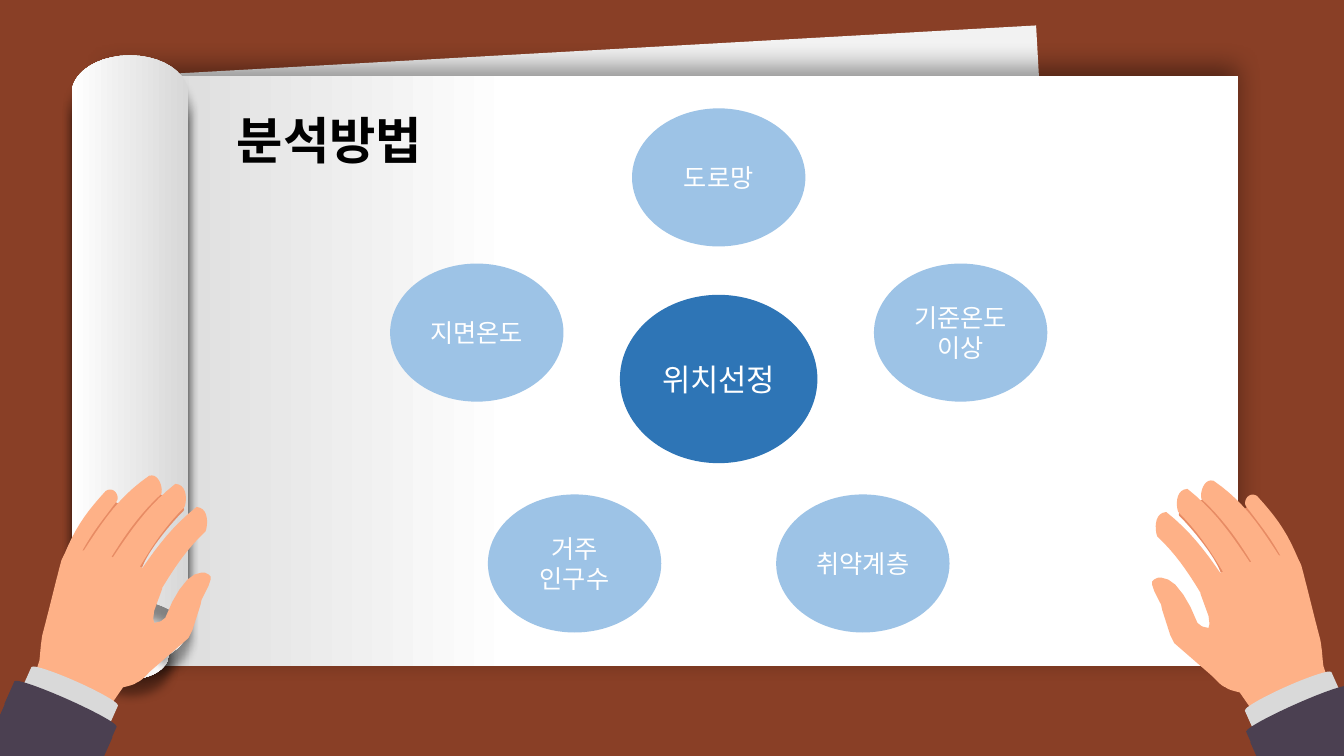
from dataclasses import dataclass

from lxml.etree import SubElement
from pptx import Presentation
from pptx.dml.color import RGBColor
from pptx.enum.shapes import MSO_SHAPE as Preset
from pptx.enum.text import MSO_ANCHOR as Anchor, MSO_AUTO_SIZE as AutoSize, PP_ALIGN as Align
from pptx.oxml.ns import qn
from pptx.util import Inches, Pt

COLUMNS, ROWS = 40 / 3, 7.5
CURVE_STEPS = 10

# Outlines in grid units: M and L take one point, C takes cubic curve points.
CREASES = """M 12.77 5.51 C 12.72 5.42 12.53 5.13 12.45 5.06 C 12.37 4.98 12.36 5.07 12.3 5.06
 L 12.07 5.01 L 11.95 4.94 L 11.87 4.99 C 11.83 5.02 11.66 5.07 11.7 5.12
 C 11.75 5.16 12.11 5.56 12.13 5.75 C 12.15 5.93 12.36 5.78 12.46 5.77 L 12.71 5.7 L 12.76 5.58"""
FINGERS = [
    """M 11.78 4.85 C 12.07 5.08 12.24 5.34 12.42 5.61 L 12.18 5.75
 C 12.04 5.52 11.92 5.31 11.69 5.08 C 11.67 5.04 11.65 4.86 11.78 4.85""",
    """M 12.04 4.77 C 12.33 4.97 12.48 5.19 12.7 5.53 L 12.46 5.65
 C 12.32 5.42 12.16 5.17 11.92 4.95 C 11.9 4.9 11.94 4.74 12.04 4.77""",
    """M 11.57 5.08 C 11.86 5.31 12.03 5.57 12.21 5.84 L 11.97 5.98
 C 11.83 5.75 11.71 5.54 11.48 5.32 C 11.46 5.27 11.44 5.09 11.57 5.08""",
    """M 12.47 4.92 C 12.7 5.17 12.79 5.32 12.91 5.62 L 12.74 5.58
 C 12.61 5.34 12.55 5.27 12.36 5.02 C 12.33 4.97 12.39 4.87 12.47 4.92""",
]
THUMB = """M 12.03 6.71 L 11.73 6.45 L 11.65 6.38 L 11.61 6.3 L 11.53 6.05 L 11.52 6 L 11.45 5.86
 L 11.43 5.8 L 11.43 5.77 L 11.45 5.75 L 11.49 5.73 L 11.52 5.73 L 11.59 5.75 L 11.66 5.8
 L 11.74 5.9 L 11.81 6.02 L 11.88 6.18 L 12.1 6.35"""
PALM = """M 12.03 6.71 C 12.07 6.75 12.11 6.8 12.16 6.82 C 12.2 6.85 12.27 6.86 12.3 6.87
 L 12.39 7 L 12.43 7.07 C 12.46 7.08 12.53 7.08 12.59 7.06 L 12.79 6.98 L 13 6.87 L 13.15 6.76
 L 13.15 6.67 L 13.13 6.61 C 13.12 6.55 13.12 6.47 13.1 6.35 C 13.07 6.24 13.02 6.04 12.99 5.92
 C 12.96 5.8 12.93 5.68 12.91 5.61 C 12.88 5.54 12.86 5.52 12.83 5.51 L 12.7 5.51
 L 12.54 5.51 L 12.4 5.58 L 12.24 5.63 L 12.11 5.68 L 12.05 5.73 L 11.93 5.85 L 11.91 5.89
 L 11.99 6.11 L 12 6.19 L 11.99 6.23 L 11.9 6.21 L 11.86 6.21 L 11.81 6.27 L 11.89 6.44
 L 11.92 6.54 C 11.94 6.58 11.99 6.66 12.03 6.71"""
ROLL = """M 0 0 C 0.32 0 0.58 0.17 0.58 0.38 L 0.58 5.7 L 0.55 5.64
 C 0.46 5.5 0.24 5.4 0 5.4 C -0.24 5.4 -0.46 5.5 -0.55 5.64 L -0.58 5.7 L -0.58 0.38
 C -0.58 0.17 -0.32 0 0 0"""


@dataclass(frozen=True)
class Theme:
    font: str = "Noto Sans CJK KR"
    desk: str = "893F26"
    sheet: str = "F2F2F2"
    paper: str = "FFFFFF"
    shade: str = "D7D7D7"
    skin: str = "FEB187"
    crease: str = "E78B64"
    cuff: str = "D9D9D9"
    sleeve: str = "4B4051"
    hub: str = "2E75B6"
    factor: str = "9DC3E6"
    ink: str = "000000"
    light: str = "FFFFFF"
    title_size: int = 36
    hub_size: int = 22
    factor_size: int = 18


def trace(outline):
    """Turn an outline into points, sampling its curves."""
    points = []
    for command in outline.replace("M", "|").replace("L", "|").replace("C", "|").split("|")[1:]:
        numbers = [float(number) for number in command.split()]
        pairs = list(zip(numbers[::2], numbers[1::2]))
        if len(pairs) == 1:
            points += pairs
            continue
        controls = [points[-1], *pairs]
        for step in range(1, CURVE_STEPS + 1):
            t = step / CURVE_STEPS
            weights = ((1 - t) ** 3, 3 * t * (1 - t) ** 2, 3 * t * t * (1 - t), t ** 3)
            points.append(tuple(sum(w * c[axis] for w, c in zip(weights, controls))
                                for axis in (0, 1)))
    return points


class SlideBuilder:
    def __init__(self, presentation, theme):
        self.theme = theme
        self.column = presentation.slide_width / COLUMNS
        self.row = presentation.slide_height / ROWS
        self.slide = presentation.slides.add_slide(presentation.slide_layouts[5])
        fill = self.slide.background.fill
        fill.solid()
        fill.fore_color.rgb = RGBColor.from_string(theme.desk)

    def place(self, x, y):
        return round(x * self.column), round(y * self.row)

    def paint(self, shape, color):
        shape.fill.solid()
        shape.fill.fore_color.rgb = RGBColor.from_string(color)
        shape.line.fill.background()
        shape.shadow.inherit = False

    def shade(self, shape, angle, stops):
        shape.fill.gradient()
        shape.fill.gradient_angle = angle
        for stop, (position, color) in zip(shape.fill.gradient_stops, stops):
            stop.position = position
            stop.color.rgb = RGBColor.from_string(color)

    def cast_shadow(self, shape, blur, distance, direction):
        effects = shape.element.spPr.find(qn("a:effectLst"))
        shadow = SubElement(effects, qn("a:outerShdw"), blurRad=str(Pt(blur)),
                            dist=str(Pt(distance)), dir=str(direction * 60000),
                            algn="ctr", rotWithShape="0")
        color = SubElement(shadow, qn("a:srgbClr"), val=self.theme.ink)
        SubElement(color, qn("a:alpha"), val="40000")

    def preset(self, kind, left, top, width, height, color, rotation=0):
        shape = self.slide.shapes.add_shape(
            kind, *self.place(left, top), *self.place(width, height))
        shape.rotation = rotation % 360
        self.paint(shape, color)
        return shape

    def outline(self, outline, color, origin=(0, 0), scale=(1, 1)):
        start, *rest = [self.place(origin[0] + scale[0] * x, origin[1] + scale[1] * y)
                        for x, y in trace(outline)]
        builder = self.slide.shapes.build_freeform(*start)
        builder.add_line_segments(rest, close=True)
        shape = builder.convert_to_shape()
        self.paint(shape, color)
        return shape

    def set_text(self, shape, text, size, color, align, anchor, bold=False):
        frame = shape.text_frame
        frame.text = text
        frame.word_wrap = True
        frame.vertical_anchor = anchor
        style = {"name": self.theme.font, "size": Pt(size), "bold": bold}
        for paragraph in frame.paragraphs:
            paragraph.alignment = align
            for run in paragraph.runs:
                for name, value in style.items():
                    setattr(run.font, name, value)
                run.font.color.rgb = RGBColor.from_string(color)
                SubElement(run._r.get_or_add_rPr(), qn("a:ea"), typeface=self.theme.font)

    def title(self, text, left, top, width, height):
        title = self.slide.shapes.title
        title.left, title.top = self.place(left, top)
        title.width, title.height = self.place(width, height)
        self.set_text(title, text, self.theme.title_size, self.theme.ink,
                      Align.LEFT, Anchor.TOP, True)
        title.text_frame.auto_size = AutoSize.SHAPE_TO_FIT_TEXT
        title.element.getparent().append(title.element)  # in front of the paper

    def bubble(self, text, center, size, color, text_size):
        left, top = (c - s / 2 for c, s in zip(center, size))
        shape = self.preset(Preset.OVAL, left, top, *size, color)
        self.set_text(shape, text, text_size, self.theme.light, Align.CENTER, Anchor.MIDDLE)

    def paper(self):
        self.preset(Preset.RECTANGLE, 1.43, 0.5, 9.02, 5.86, self.theme.sheet, -3.2)
        paper = self.preset(Preset.RECTANGLE, 1.07, 0.75, 11.21, 5.86, self.theme.paper)
        self.shade(paper, 180, [(0.64, self.theme.paper), (1, self.theme.shade)])
        self.cast_shadow(paper, 18, 6, 270)

    def roll(self, end, scale, direction):
        """Draw half a paper roll from its closed end, down (1) or up (-1)."""
        shape = self.outline(ROLL, self.theme.paper, (1.29, end), (scale, scale * direction))
        self.shade(shape, 180 if direction > 0 else 0,
                   [(0, self.theme.shade), (1, self.theme.paper)])
        self.cast_shadow(shape, 7, 11, 90)

    def hand(self, mirrored=False):
        """Draw the right hand, or its mirror image on the left."""
        theme = self.theme
        origin, scale = ((13.52, -0.05), (-1, 1)) if mirrored else ((0, 0), (1, 1))
        self.outline(CREASES, theme.crease, origin, scale)
        for part in (*FINGERS, THUMB, PALM):
            self.outline(part, theme.skin, origin, scale)
        for kind, left, top, width, height, color, rotation in (
                (Preset.FLOWCHART_STORED_DATA, 12.67, 6.48, 0.3, 0.94, theme.cuff, 66),
                (Preset.FLOWCHART_STORED_DATA, 12.76, 6.57, 0.3, 1.11, theme.sleeve, 66),
                (Preset.RECTANGLE, 12.49, 7.11, 1.11, 0.66, theme.sleeve, -24)):
            if mirrored:
                left, rotation = origin[0] - left - width, 180 - rotation
            self.preset(kind, left, top + origin[1], width, height, color, rotation)


def main():
    presentation = Presentation()
    presentation.slide_width, presentation.slide_height = Inches(COLUMNS), Inches(ROWS)
    theme = Theme()
    builder = SlideBuilder(presentation, theme)
    builder.paper()
    builder.hand()
    for end, scale, direction in ((6.59, 1, -1), (6.74, 0.67, -1), (2.69, 0.67, 1), (0.55, 1, 1)):
        builder.roll(end, scale, direction)
    builder.hand(mirrored=True)
    builder.title("분석방법", 2.25, 1.03, 3.75, 0.71)

    hub_x, hub_y = 7.13, 3.76
    for text, across, down in (("거주\n인구수", -1.43, 1.83), ("취약계층", 1.43, 1.83),
                               ("기준온도\n이상", 2.4, -0.46), ("지면온도", -2.4, -0.46),
                               ("도로망", 0, -2)):
        builder.bubble(text, (hub_x + across, hub_y + down), (1.72, 1.37),
                       theme.factor, theme.factor_size)
    builder.bubble("위치선정", (hub_x, hub_y), (1.96, 1.67), theme.hub, theme.hub_size)
    presentation.save("out.pptx")


if __name__ == "__main__":
    main()
